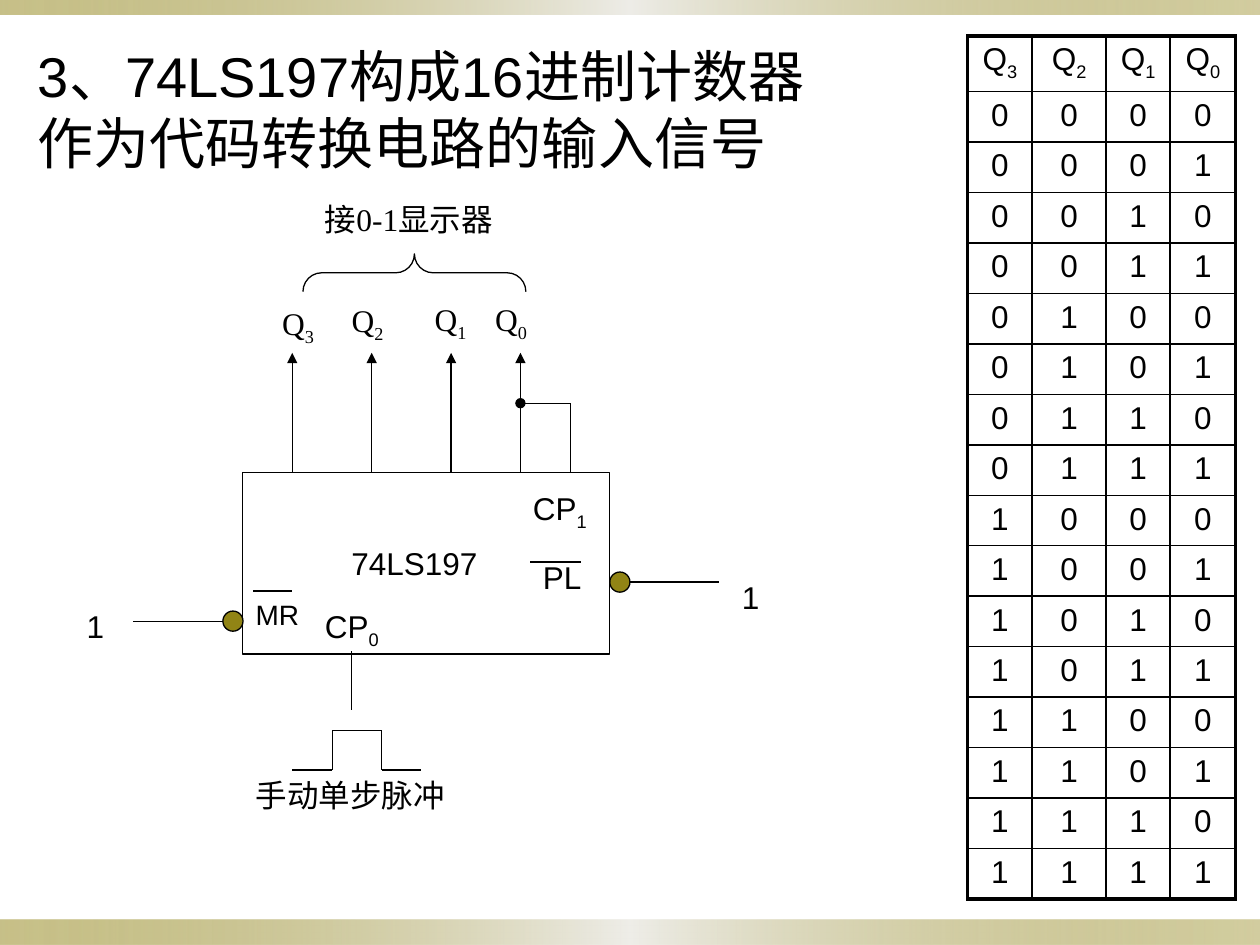
import itertools
import pptx
import pptx.util
import pptx.dml.color
import pptx.enum.shapes
import pptx.enum.text
import pptx.oxml
import pptx.oxml.ns
from dataclasses import dataclass

Pt = pptx.util.Pt
Kind = pptx.enum.shapes.MSO_SHAPE
Align = pptx.enum.text.PP_ALIGN
Anchor = pptx.enum.text.MSO_ANCHOR
qn = pptx.oxml.ns.qn
NS = pptx.oxml.ns.nsdecls("a")


@dataclass
class Theme:
    ink: str = "000000"
    paper: str = "FFFFFF"
    olive: str = "918415"
    pale: str = "EEEDE8"
    sans: str = "Arial"
    serif: str = "Times New Roman"
    head: float = 32
    body: float = 18
    small: float = 16
    thin: float = 0.75
    rule: float = 1
    frame: float = 2.25


class Sheet:
    def __init__(self, deck, theme):
        self.theme = theme
        self.slide = deck.slides.add_slide(deck.slide_layouts[5])
        self.shapes = self.slide.shapes

    def color(self, code):
        return pptx.dml.color.RGBColor.from_string(code)

    def text(self, frame, words, size=None, font=None, align=Align.LEFT, pad=None):
        frame.word_wrap = True
        frame.vertical_anchor = Anchor.TOP
        if pad is not None:
            frame.margin_left = frame.margin_right = Pt(pad)
            frame.margin_top = frame.margin_bottom = Pt(pad)
        self.runs(frame.paragraphs[0], words, size, font, align)

    def runs(self, para, words, size=None, font=None, align=Align.LEFT):
        para.alignment = align
        for i, part in enumerate(words.split("_")):
            run = para.add_run()
            run.text = part
            run.font.size = Pt(size or self.theme.body)
            run.font.name = font or self.theme.sans
            run.font.color.rgb = self.color(self.theme.ink)
            if i:
                run.font._element.set("baseline", "-25000")

    def title(self, words, x, y, w, h):
        box = self.shapes.title
        box.left, box.top, box.width, box.height = Pt(x), Pt(y), Pt(w), Pt(h)
        box.text_frame.auto_size = pptx.enum.text.MSO_AUTO_SIZE.NONE
        self.text(box.text_frame, words, self.theme.head)

    def shape(self, kind, x, y, w, h, fill=None, line=None):
        item = self.shapes.add_shape(kind, Pt(x), Pt(y), Pt(w), Pt(h))
        item.shadow.inherit = False
        if fill:
            item.fill.solid()
            item.fill.fore_color.rgb = self.color(fill)
        else:
            item.fill.background()
        if line:
            item.line.color.rgb = self.color(line)
            item.line.width = Pt(self.theme.thin)
        else:
            item.line.fill.background()
        return item

    def band(self, y, h):
        t = self.theme
        bar = self.shape(Kind.RECTANGLE, 0, y, 720, h)
        stops = "".join(
            f'<a:gs pos="{pos}"><a:srgbClr val="{code}"><a:alpha val="{alpha}"/></a:srgbClr></a:gs>'
            for pos, code, alpha in ((0, t.olive, 50000), (50000, t.pale, 100000), (100000, t.olive, 40000)))
        grad = pptx.oxml.parse_xml(
            f'<a:gradFill {NS} rotWithShape="1"><a:gsLst>{stops}</a:gsLst><a:lin ang="0" scaled="1"/></a:gradFill>')
        props = bar._element.spPr
        props.replace(props.find(qn("a:noFill")), grad)

    def plate(self, words, x, y, w, h, font=None, pad=None):
        item = self.shape(Kind.RECTANGLE, x, y, w, h, self.theme.paper, self.theme.paper)
        self.text(item.text_frame, words, font=font, align=Align.JUSTIFY, pad=pad)

    def label(self, words, x, y, w, h=28.8, size=None):
        box = self.shapes.add_textbox(Pt(x), Pt(y), Pt(w), Pt(h))
        self.text(box.text_frame, words, size)

    def line(self, x1, y1, x2, y2, **ends):
        wire = self.shapes.add_connector(
            pptx.enum.shapes.MSO_CONNECTOR.STRAIGHT, Pt(x1), Pt(y1), Pt(x2), Pt(y2))
        wire.line.color.rgb = self.color(self.theme.ink)
        wire.line.width = Pt(self.theme.thin)
        for end, kind in ends.items():
            wire.line._ln.append(pptx.oxml.parse_xml(f'<a:{end}End {NS} type="{kind}"/>'))
        wire._element.spPr.append(pptx.oxml.parse_xml(f"<a:effectLst {NS}/>"))

    def table(self, rows, x, y, widths, tall, high):
        t = self.theme
        grid = self.shapes.add_table(
            len(rows), len(widths), Pt(x), Pt(y), Pt(sum(widths)),
            Pt(tall + high * (len(rows) - 1))).table
        grid.first_row = grid.horz_banding = False
        for col, width in zip(grid.columns, widths):
            col.width = Pt(width)
        for r, row in enumerate(rows):
            grid.rows[r].height = Pt(high if r else tall)
            for c, words in enumerate(row):
                cell = grid.cell(r, c)
                self.runs(cell.text_frame.paragraphs[0], words, align=Align.CENTER)
                outer = {"L": c == 0, "R": c == len(row) - 1, "T": r == 0, "B": r == len(rows) - 1}
                props = cell._tc.get_or_add_tcPr()
                for side, edge in outer.items():
                    width = int(Pt(t.frame if edge else t.rule))
                    props.append(pptx.oxml.parse_xml(
                        f'<a:ln{side} {NS} w="{width}"><a:solidFill><a:srgbClr val="{t.ink}"/>'
                        f'</a:solidFill></a:ln{side}>'))
                cell.fill.background()


deck = pptx.Presentation()
deck.slide_width, deck.slide_height = Pt(720), Pt(540)
theme = Theme()
page = Sheet(deck, theme)

page.band(525.6, 14.4)
page.band(0, 8.6)
page.title("3、74LS197构成16进制计数器作为代码转换电路的输入信号", 14.4, 20.2, 465, 85)

page.plate("接0-1显示器", 178.6, 110.9, 118.8, 28, theme.serif)
brace = page.shape(Kind.LEFT_BRACE, 226, 92.2, 21.6, 127.4, line=theme.ink)
brace.rotation = 90
brace.adjustments[0], brace.adjustments[1] = 0.494, 0.5

page.shape(Kind.RECTANGLE, 138.6, 270, 209.7, 103.7, theme.paper, theme.ink)
page.plate("74LS197", 193.7, 307.4, 90.7, 36.7)

pins = (("Q_3", 161.3, 173.5, 28, 167), ("Q_2", 200.9, 172.1, 26, 212.4),
        ("Q_1", 248.4, 171.4, 26.6, 257.8), ("Q_0", 283, 171.4, 31.7, 297.4))
for name, x, y, w, pin in pins:
    page.plate(name, x, y, w, 24, theme.serif, 0)
    page.line(pin, 270, pin, 201.6, tail="triangle")

page.line(297.4, 230.4, 326.2, 230.4, head="oval")
page.line(326.2, 270, 326.2, 230.4)
page.line(200.9, 372.2, 200.9, 406)

pulse = ((167, 440), (190, 440), (190, 417.5), (218.2, 417.5), (218.2, 440), (240.5, 440))
for a, b in itertools.pairwise(pulse):
    page.line(*a, *b)

for x, y in ((127.4, 349.2), (348.5, 326.9)):
    page.shape(Kind.OVAL, x, y, 11.5, 11.5, theme.olive, theme.ink)
for x, y, w in ((76.3, 355, 51.1), (360, 332.6, 51.1), (144.7, 337.7, 22.3), (303.1, 321.1, 28.8)):
    page.line(x, y, x + w, y)

page.label("CP_0", 178.6, 343.4, 62.6)
page.label("CP_1", 297.4, 275.8, 51.1)
page.label("PL", 303.1, 315.4, 45.4)
page.label("MR", 139, 337.7, 43.2, 26.6, theme.small)
page.label("1", 42.5, 343.4, 28)
page.label("1", 416.9, 326.9, 28)
page.label("手动单步脉冲", 139, 440, 124.6)

names = [f"Q_{i}" for i in (3, 2, 1, 0)]
codes = [f"{n:04b}" for n in range(16)]
page.table([names] + codes, 553, 20.6, (36.8, 42.2, 36.7, 37.4), 31, 28.8)

deck.save("out.pptx")
